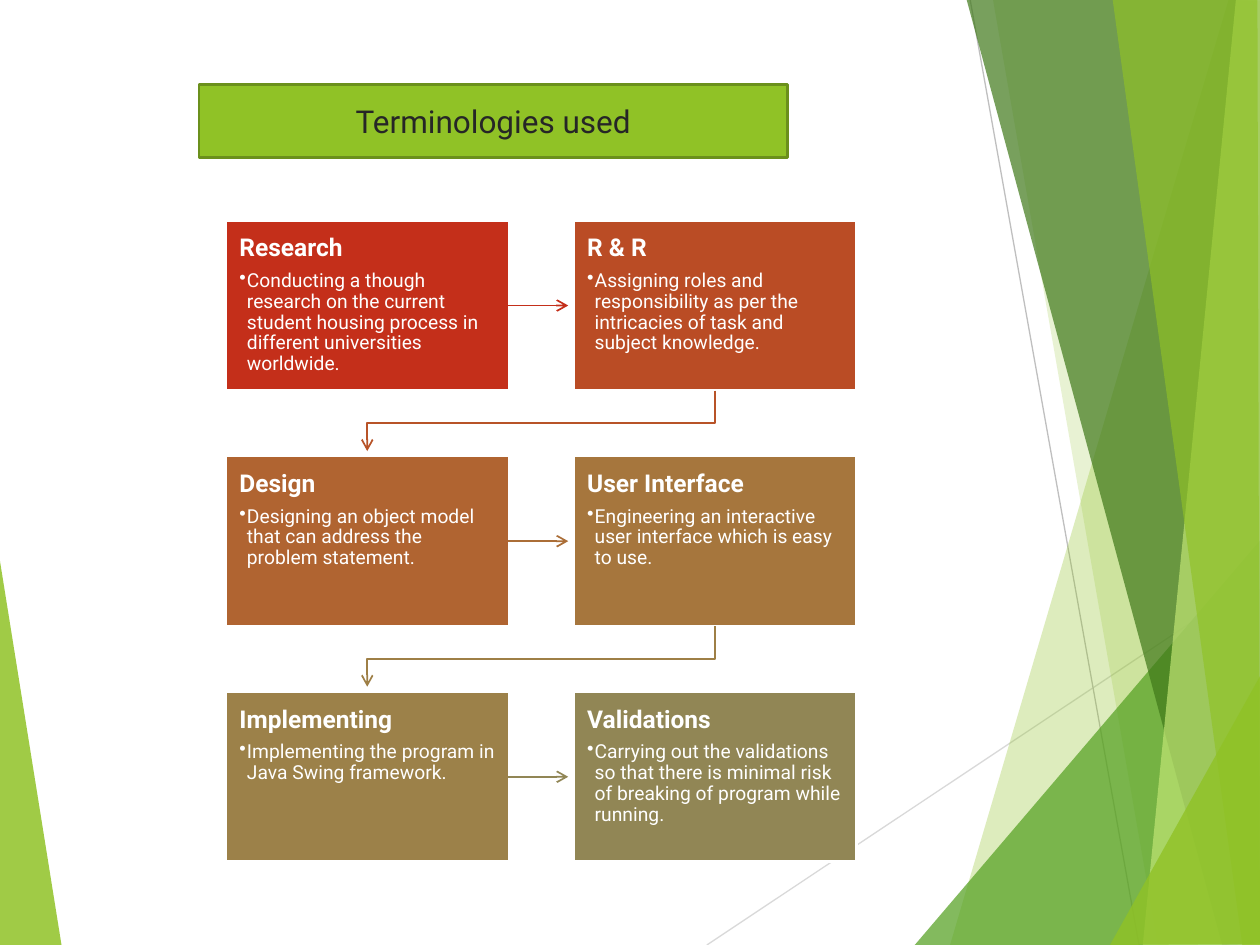
from lxml.etree import SubElement
from pptx import Presentation
from pptx.dml.color import RGBColor
from pptx.enum.shapes import MSO_CONNECTOR as Connector, MSO_SHAPE as Preset
from pptx.enum.text import MSO_ANCHOR as Anchor, PP_ALIGN as Align
from pptx.oxml.ns import qn
from pptx.util import Inches, Pt

COLORS = {
    "lime": "90C226", "green": "54A021", "forest": "3F7819", "pale": "C0E474",
    "olive": "6B901C", "ink": "262626", "white": "FFFFFF",
    "silver": "D9D9D9", "gray": "BFBFBF",
    "research": "C42F1A", "roles": "BA4C25", "design": "B06431",
    "interface": "A6763D", "implementing": "9C8149", "validations": "918655",
    "to_design": "B85328", "to_interface": "AB6E37", "to_implementing": "9E7F46",
}

FACETS = [
    ("lime", 85, [(-0.01, 4.39), (0.49, 7.51), (-0.01, 7.5)]),
    ("lime", 30, [(9.75, 0), (7.54, 7.5), (10.02, 7.51), (10.01, 0.01)]),
    ("lime", 20, [(7.88, -0.01), (9.19, 7.5), (10.01, 7.5), (10.01, -0.01)]),
    ("green", 72, [(7.26, 7.5), (10, 4.29), (10.01, 7.5)]),
    ("forest", 70, [(7.67, -0.01), (9.7, 7.5), (10.01, 7.49), (10.01, -0.01)]),
    ("pale", 70, [(9.81, -0.01), (9.07, 7.5), (10.01, 7.5), (10, -0.01)]),
    ("lime", 65, [(8.83, -0.01), (9.86, 7.5), (10, 7.5), (9.98, -0.01)]),
    ("lime", 80, [(8.81, 7.5), (10.01, 5.35), (10.01, 7.49)]),
]

STEPS = [
    ("Research", "research", None,
     "Conducting a though research on the current student housing process in "
     "different universities worldwide."),
    ("R & R", "roles", "research",
     "Assigning roles and responsibility as per the intricacies of task and "
     "subject knowledge."),
    ("Design", "design", "to_design",
     "Designing an object model that can address the problem statement."),
    ("User Interface", "interface", "to_interface",
     "Engineering an interactive user interface which is easy to use."),
    ("Implementing", "implementing", "to_implementing",
     "Implementing the program in Java Swing framework."),
    ("Validations", "validations", "validations",
     "Carrying out the validations so that there is minimal risk of breaking "
     "of program while running."),
]

LEFT, TOP = 1.79, 1.75
CARD_WIDTH, CARD_HEIGHT = 2.25, 1.35
COLUMN_STEP, ROW_STEP = 2.76, 1.87


class SlideStyle:
    """Holds the font, the colours and the slide being drawn."""

    def __init__(self, slide, font="Roboto"):
        self.shapes = slide.shapes
        self.font = font

    def color(self, name):
        return RGBColor.from_string(COLORS[name])

    def outline(self, shape, color, width, arrow=False):
        shape.line.color.rgb = self.color(color)
        shape.line.width = Pt(width)
        if arrow:
            stroke = shape._element.spPr.find(qn("a:ln"))
            SubElement(stroke, qn("a:tailEnd"), type="arrow")

    def freeform(self, points, close):
        start, *rest = [(Inches(x), Inches(y)) for x, y in points]
        builder = self.shapes.build_freeform(*start)
        builder.add_line_segments(rest, close=close)
        shape = builder.convert_to_shape()
        shape.shadow.inherit = False
        return shape

    def facet(self, color, opacity, points):
        shape = self.freeform(points, True)
        shape.fill.solid()
        shape.fill.fore_color.rgb = self.color(color)
        tint = shape._element.spPr.find(".//" + qn("a:srgbClr"))
        SubElement(tint, qn("a:alpha"), val=str(opacity * 1000))
        shape.line.fill.background()

    def line(self, start, end, color, width=0.75, arrow=False):
        ends = [Inches(value) for value in (*start, *end)]
        connector = self.shapes.add_connector(Connector.STRAIGHT, *ends)
        self.outline(connector, color, width, arrow)
        SubElement(connector._element.spPr, qn("a:effectLst"))

    def bent_arrow(self, points, color):
        shape = self.freeform(points, False)
        shape.fill.background()
        self.outline(shape, color, 1, True)

    def box(self, left, top, width, height, fill, border):
        shape = self.shapes.add_shape(
            Preset.RECTANGLE, Inches(left), Inches(top), Inches(width), Inches(height))
        shape.shadow.inherit = False
        shape.fill.solid()
        shape.fill.fore_color.rgb = self.color(fill)
        self.outline(shape, border, 1.5)
        shape.text_frame.word_wrap = True
        return shape.text_frame

    def label(self, paragraph, text, size, color, bold=False):
        paragraph.text = text
        font = paragraph.font
        font.name, font.size, font.bold = self.font, Pt(size), bold
        font.color.rgb = self.color(color)

    def title(self, text):
        frame = self.box(1.58, 0.67, 4.67, 0.58, "lime", "olive")
        frame.vertical_anchor = Anchor.MIDDLE
        frame.paragraphs[0].alignment = Align.CENTER
        self.label(frame.paragraphs[0], text, 18, "ink")

    def card(self, left, top, heading, body, fill):
        frame = self.box(left, top, CARD_WIDTH, CARD_HEIGHT, fill, "white")
        frame.vertical_anchor = Anchor.TOP
        frame.margin_left = frame.margin_right = Inches(0.11)
        frame.margin_top = frame.margin_bottom = Inches(0.12)
        name, detail = frame.paragraphs[0], frame.add_paragraph()
        self.label(name, heading, 14, "white", True)
        self.label(detail, body, 11, "white")
        for paragraph, gap in ((name, 5), (detail, 2)):
            paragraph.alignment = Align.LEFT
            paragraph.line_spacing = 0.9
            paragraph.space_after = Pt(gap)
        detail.level = 1
        properties = detail._p.get_or_add_pPr()
        properties.set("marL", str(Inches(0.06)))
        properties.set("indent", str(-Inches(0.06)))
        bullet = properties.makeelement(qn("a:buChar"), {"char": "•"})
        properties.find(qn("a:defRPr")).addprevious(bullet)


def main():
    deck = Presentation()
    deck.slide_width, deck.slide_height = Inches(10), Inches(7.5)
    style = SlideStyle(deck.slides.add_slide(deck.slide_layouts[6]))

    left_facet, *right_facets = FACETS
    style.facet(*left_facet)
    style.line((5.61, 7.5), (10.01, 4.57), "silver")
    style.line((7.7, 0), (9.04, 7.5), "gray")
    for facet in right_facets:
        style.facet(*facet)

    for index, (heading, fill, arrow_color, body) in enumerate(STEPS):
        row, column = divmod(index, 2)
        left, top = LEFT + column * COLUMN_STEP, TOP + row * ROW_STEP
        if column:
            middle = top + CARD_HEIGHT / 2
            style.line((left - 0.52, middle), (left - 0.04, middle), arrow_color, 1, True)
        elif row:
            target = left + CARD_WIDTH / 2
            source = target + COLUMN_STEP
            turn = top - 0.26
            style.bent_arrow([(source, top - 0.52), (source, turn),
                              (target, turn), (target, top - 0.04)], arrow_color)
        style.card(left, top, heading, body, fill)

    style.title("Terminologies used")
    deck.save("out.pptx")


if __name__ == "__main__":
    main()
